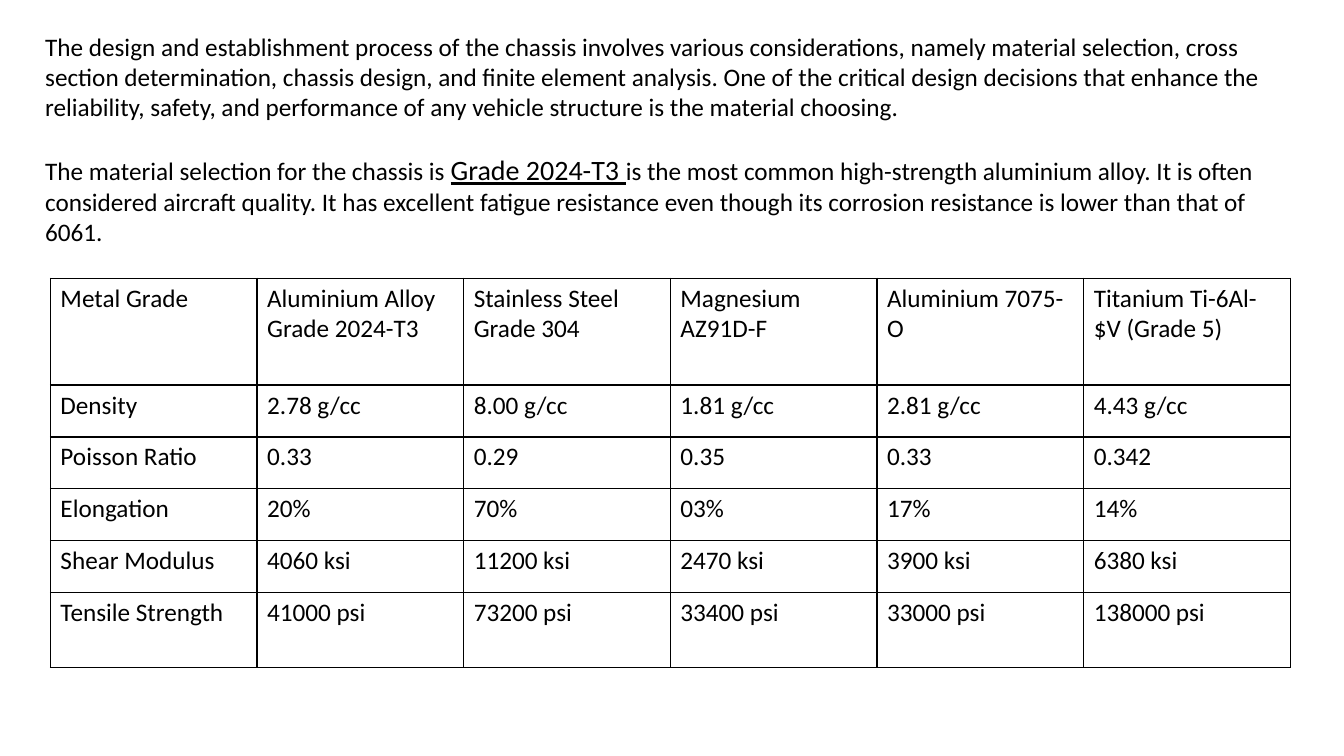
from lxml.etree import SubElement
from pptx import Presentation
from pptx.dml.color import RGBColor
from pptx.oxml import parse_xml
from pptx.oxml.ns import nsdecls, qn
from pptx.util import Inches, Pt

THEME = {
    "ink": "000000",
    "font": "Calibri",
    "body": Pt(18),
    "accent": Pt(20),
    "gap": Pt(22),
    "border": Pt(1),
}
BODY = {"name": THEME["font"], "size": THEME["body"]}
GRADE = {"name": THEME["font"], "size": THEME["accent"], "underline": True}


def add_run(p, text, fmt):
    r = p.add_run()
    r.text = text
    for key, value in fmt.items():
        setattr(r.font, key, value)
    r.font.color.rgb = RGBColor.from_string(THEME["ink"])


def add_borders(cell):
    tcPr = cell._tc.get_or_add_tcPr()
    for i, side in enumerate(("lnL", "lnR", "lnT", "lnB")):
        ln = parse_xml(f'<a:{side} {nsdecls("a")} w="{THEME["border"]}"/>')
        fill = SubElement(ln, qn("a:solidFill"))
        SubElement(fill, qn("a:srgbClr"), val=THEME["ink"])
        tcPr.insert(i, ln)


prs = Presentation()
prs.slide_width, prs.slide_height = Inches(13.33), Inches(7.5)
s = prs.slides.add_slide(prs.slide_layouts[6])

# Introduction
paragraphs = [
    [("The design and establishment process of the chassis involves various "
      "considerations, namely material selection, cross section determination, "
      "chassis design, and finite element analysis. One of the critical design "
      "decisions that enhance the reliability, safety, and performance of any "
      "vehicle structure is the material choosing.", BODY)],
    [("The material selection for the chassis is ", BODY),
     ("Grade 2024-T3 ", GRADE),
     ("is the most common high-strength aluminium alloy. It is often considered "
      "aircraft quality. It has excellent fatigue resistance even though its "
      "corrosion resistance is lower than that of 6061.", BODY)],
]
tf = s.shapes.add_textbox(Inches(0.35), Inches(0.26),
                          Inches(12.7), Inches(2.32)).text_frame
tf.word_wrap = True
for i, runs in enumerate(paragraphs):
    p = tf.add_paragraph() if i else tf.paragraphs[0]
    if i:
        p.space_before = THEME["gap"]
    for text, fmt in runs:
        add_run(p, text, fmt)

# Material comparison table
rows = [
    ["Metal Grade", "Aluminium Alloy Grade 2024-T3", "Stainless Steel Grade 304",
     "Magnesium AZ91D-F", "Aluminium 7075-O", "Titanium Ti-6Al-$V (Grade 5)"],
    ["Density", "2.78 g/cc", "8.00 g/cc", "1.81 g/cc", "2.81 g/cc", "4.43 g/cc"],
    ["Poisson Ratio", "0.33", "0.29", "0.35", "0.33", "0.342"],
    ["Elongation", "20%", "70%", "03%", "17%", "14%"],
    ["Shear Modulus", "4060 ksi", "11200 ksi", "2470 ksi", "3900 ksi", "6380 ksi"],
    ["Tensile Strength", "41000 psi", "73200 psi", "33400 psi", "33000 psi",
     "138000 psi"],
]
heights = [1.06] + [0.515] * 4 + [0.74]
col_width = 2.05
table = s.shapes.add_table(
    len(rows), len(rows[0]), Inches(0.5), Inches(2.76),
    Inches(col_width * len(rows[0])), Inches(sum(heights))).table
table.first_row = table.horz_banding = False
for col in table.columns:
    col.width = Inches(col_width)
for row, height, texts in zip(table.rows, heights, rows):
    row.height = Inches(height)
    for cell, text in zip(row.cells, texts):
        cell.fill.background()
        add_borders(cell)
        add_run(cell.text_frame.paragraphs[0], text, BODY)

prs.save("out.pptx")
